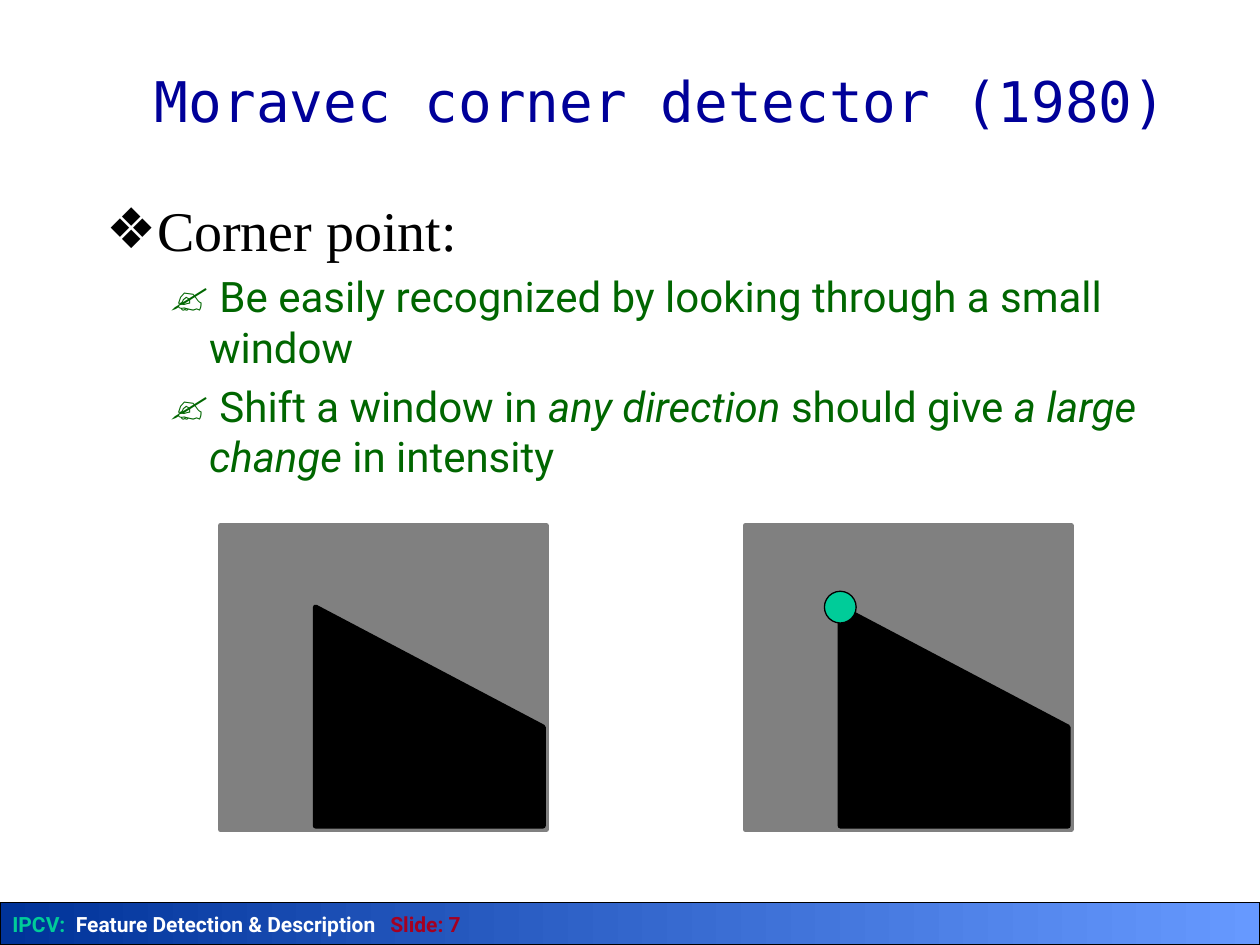
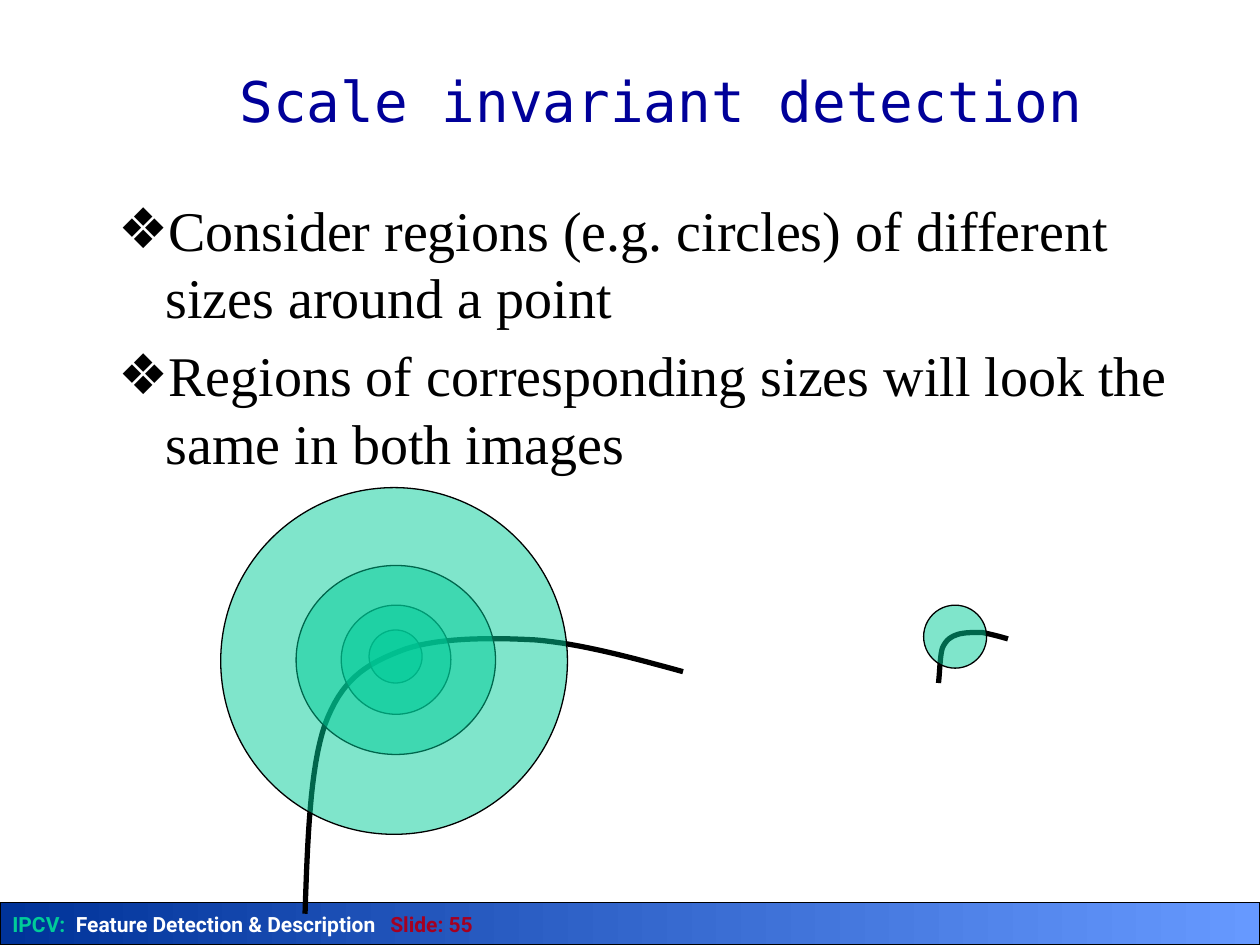
from lxml import etree
from pptx import Presentation
from pptx.dml.color import RGBColor
from pptx.enum.shapes import MSO_SHAPE as Preset
from pptx.enum.text import MSO_ANCHOR as Anchor, MSO_AUTO_SIZE as AutoSize, PP_ALIGN as Align
from pptx.oxml.ns import qn
from pptx.util import Cm, Pt

COLORS = {
    "title": "000099", "topic": "000000", "detail": "006600",
    "band_start": "003399", "band_end": "6699FF",
    "course": "00CC99", "lecture": "FFFFFF", "number": "A50021",
    "ink": "000000", "background": "808080", "region": "00CC99",
}
RGB = {name: RGBColor.from_string(value) for name, value in COLORS.items()}

# Per level: font, size, colour, bullet, left margin, hanging indent, space before
LEVELS = [
    ("Times New Roman", 32, "topic", "❖", 0.95, 0.95, 6.4),
    ("Roboto", 24, "detail", "✍", 2.06, 0.79, 4.8),
]

# Title, slide number, body box, list items (asterisks enclose italics)
CONTENT = [
    ("Moravec corner detector (1980)", 7, (1.9, 3.81, 22.86, 5.03), [
        (0, "Corner point:"),
        (1, " Be easily recognized by looking through a small window"),
        (1, " Shift a window in *any direction* should give *a large change* in intensity"),
    ]),
    ("Scale invariant detection", 55, (2.13, 3.81, 22.61, 10.67), [
        (0, "Consider regions (e.g. circles) of different sizes around a point"),
        (0, "Regions of corresponding sizes will look the same in both images"),
    ]),
]


def paint(shape, fill, line="ink", width=0.75, alpha=None):
    """Give a shape a flat fill (or none), an outline and no shadow."""
    shape.shadow.inherit = False
    if fill:
        shape.fill.solid()
        shape.fill.fore_color.rgb = RGB[fill]
    else:
        shape.fill.background()
    if alpha is not None:
        color = shape.element.spPr.find(qn("a:solidFill"))[0]
        etree.SubElement(color, qn("a:alpha")).set("val", str(alpha * 1000))
    shape.line.color.rgb = RGB[line]
    shape.line.width = Pt(width)


def draw_edge(shapes, start, segments, steps=16):
    """Draw an open contour through cubic Bezier segments."""
    points = [start]
    for c1, c2, end in segments:
        origin = points[-1]
        for step in range(1, steps + 1):
            t = step / steps
            weights = ((1 - t) ** 3, 3 * t * (1 - t) ** 2, 3 * t * t * (1 - t), t ** 3)
            knots = (origin, c1, c2, end)
            points.append(tuple(sum(w * k[axis] for w, k in zip(weights, knots))
                                for axis in (0, 1)))
    points = [(Cm(x), Cm(y)) for x, y in points]
    contour = shapes.build_freeform(*points[0])
    contour.add_line_segments(points[1:], close=False)
    paint(contour.convert_to_shape(), None, width=3)


prs = Presentation()
prs.slide_width, prs.slide_height = Cm(25.4), Cm(19.05)

# Shared parts: footer band, title and list
slides = []
for heading, number, box, items in CONTENT:
    slide = prs.slides.add_slide(prs.slide_layouts[1])
    slides.append(slide)

    # Footer band
    band = slide.shapes.add_shape(Preset.RECTANGLE, 0, Cm(18.2), Cm(25.4), Cm(0.85))
    paint(band, "band_start")
    band.fill.gradient()
    band.fill.gradient_angle = 0
    for stop, shade in zip(band.fill.gradient_stops, ("band_start", "band_end")):
        stop.color.rgb = RGB[shade]
    band.text_frame.vertical_anchor = Anchor.MIDDLE
    footer = band.text_frame.paragraphs[0]
    footer.alignment = Align.LEFT
    for words, color in (("IPCV: ", "course"),
                         (" Feature Detection & Description\t", "lecture"),
                         (f"Slide: {number}", "number")):
        run = footer.add_run()
        run.text = words
        run.font.name, run.font.size, run.font.bold = "Roboto", Pt(12), True
        run.font.color.rgb = RGB[color]

    # Title
    title = slide.shapes.title
    title.left, title.top, title.width, title.height = map(Cm, (1.9, 0.43, 22.86, 3.18))
    title.text_frame.text = heading
    title.text_frame.auto_size = AutoSize.NONE
    title.text_frame.vertical_anchor = Anchor.MIDDLE
    title_line = title.text_frame.paragraphs[0]
    title_line.alignment = Align.CENTER
    title_font = title_line.runs[0].font
    title_font.name, title_font.size = "DejaVu Sans Mono", Pt(32)
    title_font.color.rgb = RGB["title"]

    # Bulleted list
    body = slide.placeholders[1]
    body.left, body.top, body.width, body.height = map(Cm, box)
    body.text_frame.auto_size = AutoSize.NONE
    for index, (level, sentence) in enumerate(items):
        font, size, color, bullet, margin, hanging, gap = LEVELS[level]
        item = body.text_frame.add_paragraph() if index else body.text_frame.paragraphs[0]
        item.level = level
        item.space_before = Pt(gap if index else 0)
        props = item._p.get_or_add_pPr()
        props.set("marL", str(Cm(margin)))
        props.set("indent", str(-Cm(hanging)))
        etree.SubElement(props, qn("a:buChar")).set("char", bullet)
        for position, words in enumerate(sentence.split("*")):
            run = item.add_run()
            run.text = words
            run.font.name, run.font.size = font, Pt(size)
            run.font.color.rgb = RGB[color]
            if position % 2:
                run.font.italic = True

corner_slide, scale_slide = slides

# Corner slide: the same dark object in two panels
for panel_left in (4.45, 15.03):
    panel = corner_slide.shapes.add_group_shape().shapes
    backdrop = panel.add_shape(Preset.RECTANGLE, Cm(panel_left), Cm(10.59), Cm(6.56), Cm(6.14))
    paint(backdrop, "background", "background", 3)
    corner_x, corner_y = panel_left + 1.91, 12.24
    right, bottom = panel_left + 6.5, 16.65
    outline = panel.build_freeform(Cm(corner_x), Cm(bottom))
    outline.add_line_segments([(Cm(corner_x), Cm(corner_y)), (Cm(right), Cm(14.66)),
                               (Cm(right), Cm(bottom))], close=True)
    paint(outline.convert_to_shape(), "ink", width=3)

# Marker on the corner of the last panel
diameter = 0.64
marker = corner_slide.shapes.add_shape(
    Preset.OVAL, Cm(corner_x - diameter / 2), Cm(corner_y - diameter / 2),
    Cm(diameter), Cm(diameter))
paint(marker, "region")

# Scale slide: large contour, then a small one grouped with its region
draw_edge(scale_slide.shapes, (6.15, 18.42), [
    ((6.2, 16.94), (6.25, 15.49), (6.55, 14.61)),
    ((6.88, 13.72), (7.34, 13.41), (8.05, 13.13)),
    ((8.74, 12.85), (9.86, 12.85), (10.8, 12.9)),
    ((11.73, 12.98), (12.75, 13.26), (13.77, 13.54)),
])
small_view = scale_slide.shapes.add_group_shape().shapes
draw_edge(small_view, (18.92, 13.77), [
    ((18.95, 13.49), (18.95, 13.23), (19, 13.06)),
    ((19.08, 12.9), (19.15, 12.85), (19.28, 12.8)),
    ((19.41, 12.75), (19.61, 12.75), (19.79, 12.75)),
    ((19.96, 12.78), (20.14, 12.83), (20.32, 12.88)),
])

# Candidate regions, smallest first, and the matching small region
for shapes, region_box in (
    (scale_slide.shapes, (7.44, 12.7, 1.07, 1.07)),
    (scale_slide.shapes, (6.88, 12.2, 2.21, 2.2)),
    (scale_slide.shapes, (5.97, 11.4, 4.02, 3.81)),
    (scale_slide.shapes, (4.45, 9.83, 6.99, 6.99)),
    (small_view, (18.62, 12.2, 1.27, 1.27)),
):
    region = shapes.add_shape(Preset.OVAL, *map(Cm, region_box))
    paint(region, "region", alpha=50)

prs.save("out.pptx")
